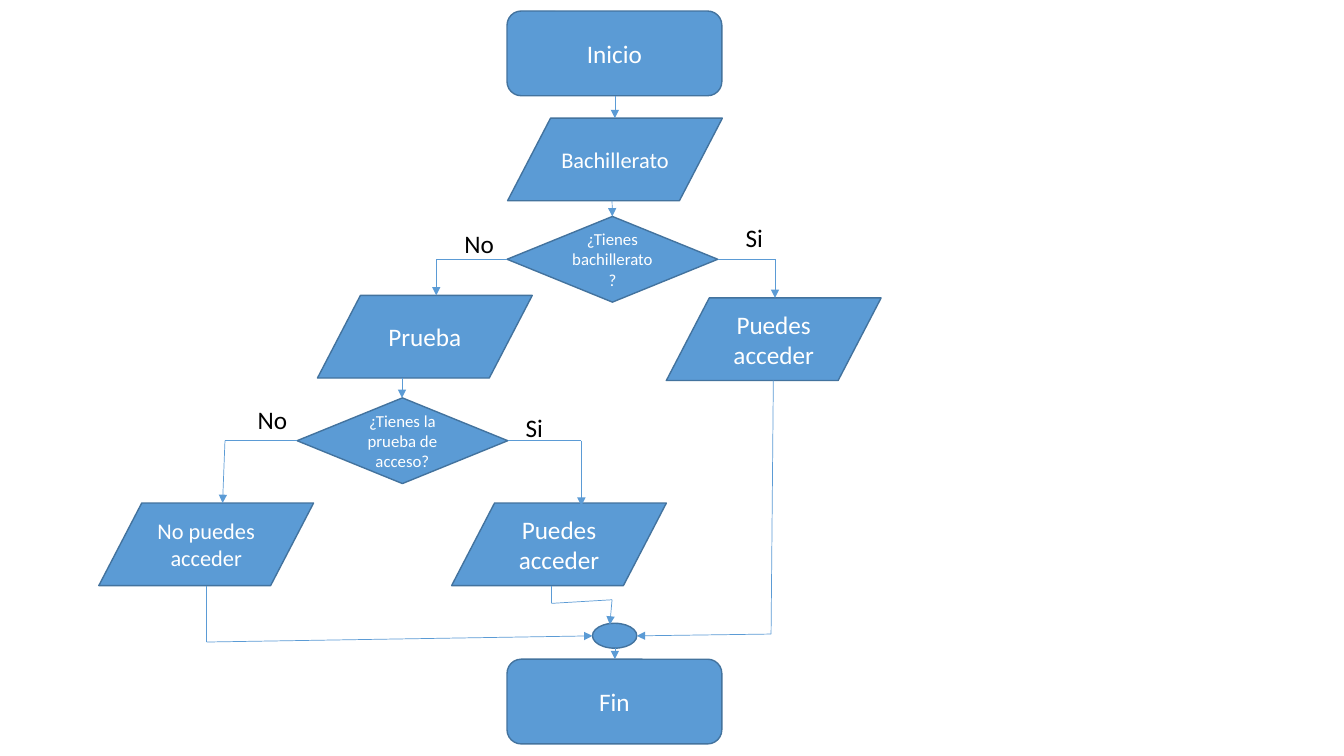
from dataclasses import dataclass
from itertools import pairwise
from lxml.etree import SubElement
from pptx import Presentation
from pptx.dml.color import RGBColor as RGB
from pptx.enum.shapes import MSO_CONNECTOR as LINE, MSO_SHAPE as SHAPE
from pptx.enum.text import MSO_ANCHOR as ANCHOR, MSO_AUTO_SIZE as AUTO, PP_ALIGN as ALIGN
from pptx.oxml.ns import qn
from pptx.util import Pt


@dataclass(frozen=True)
class Theme:
    font: str = "Calibri"
    fill: RGB = RGB(0x5B, 0x9B, 0xD5)
    border: RGB = RGB(0x43, 0x73, 0x9E)
    light: RGB = RGB(255, 255, 255)
    dark: RGB = RGB(0, 0, 0)
    large: int = 18
    medium: int = 16
    small: int = 12
    border_width: float = 1
    arrow_width: float = 0.5


theme = Theme()

KINDS = {
    "terminal": (SHAPE.FLOWCHART_ALTERNATE_PROCESS, 153.4, 60.5),
    "data": (SHAPE.FLOWCHART_DATA, 153.4, 59),
    "decision": (SHAPE.FLOWCHART_DECISION, 150.5, 61.2),
    "junction": (SHAPE.FLOWCHART_CONNECTOR, 31.7, 17.8),
}
NODES = [
    ("terminal", "Inicio", theme.large, 362.2, 7.9),
    ("terminal", "Fin", theme.large, 362.2, 470.9),
    ("data", "Bachillerato", theme.medium, 362.6, 84.4),
    ("decision", "¿Tienes bachillerato?", theme.small, 362.2, 154.6),
    ("decision", "¿Tienes la prueba de acceso?", theme.small, 212.2, 284.2),
    ("data", "Prueba", theme.large, 226.8, 211),
    ("data", "Puedes acceder", theme.large, 476, 212.8),
    ("data", "No puedes acceder", theme.medium, 70.6, 359.3),
    ("data", "Puedes acceder", theme.large, 322.6, 359.3),
    ("junction", "", theme.large, 423.2, 445.2),
]
ROUTES = [
    [(439.2, 68.4), (439.2, 84.4)],
    [(437.2, 143.4), (437.4, 154.6)],
    [(362.2, 185.2), (311.6, 185.2), (311.6, 211)],
    [(512.7, 185.2), (553.6, 185.2), (553.6, 212.8)],
    [(287.2, 270), (287.2, 284.2)],
    [(212.2, 314.8), (160.7, 314.8), (159, 359.3)],
    [(362.7, 314.8), (415.3, 314.8), (415.3, 361.3)],
    [(147.6, 418.3), (147.6, 458.6), (423.2, 454.2)],
    [(393.9, 418.3), (393.9, 431), (437.2, 428.4), (435.6, 446.2)],
    [(552.4, 271.8), (550.8, 452.9), (454.9, 454.2)],
    [(439.2, 463), (439.2, 470.9)],
]
LABELS = [
    ("Si", 525.5, 155.2, 27.4),
    ("Si", 368.4, 290.9, 27.4),
    ("No", 324.7, 159.8, 36),
    ("No", 177, 285.4, 36),
]
LABEL_HEIGHT = 28.8


def write(sp, text, size, color, align):
    p = sp.text_frame.paragraphs[0]
    p.text, p.alignment = text, align
    p.font.name, p.font.size = theme.font, Pt(size)
    p.font.color.rgb = color


def add_node(shapes, kind, text, size, x, y):
    preset, w, h = KINDS[kind]
    sp = shapes.add_shape(preset, Pt(x), Pt(y), Pt(w), Pt(h))
    sp.shadow.inherit = False
    sp.fill.solid()
    sp.fill.fore_color.rgb = theme.fill
    sp.line.color.rgb = theme.border
    sp.line.width = Pt(theme.border_width)
    if text:
        sp.text_frame.word_wrap = True
        sp.text_frame.vertical_anchor = ANCHOR.MIDDLE
        write(sp, text, size, theme.light, ALIGN.CENTER)


def add_route(shapes, points):
    for start, end in pairwise(points):
        line = shapes.add_connector(LINE.STRAIGHT, *map(Pt, start + end))
        line.line.color.rgb = theme.fill
        line.line.width = Pt(theme.arrow_width)
        props = line._element.spPr
        SubElement(props, qn("a:effectLst"))
    SubElement(props.find(qn("a:ln")), qn("a:tailEnd"), type="triangle")


def add_label(shapes, text, x, y, w):
    sp = shapes.add_textbox(Pt(x), Pt(y), Pt(w), Pt(LABEL_HEIGHT))
    sp.text_frame.word_wrap = False
    sp.text_frame.auto_size = AUTO.SHAPE_TO_FIT_TEXT
    write(sp, text, theme.large, theme.dark, ALIGN.LEFT)


prs = Presentation()
prs.slide_width, prs.slide_height = Pt(960), Pt(540)
shapes = prs.slides.add_slide(prs.slide_layouts[6]).shapes
for node in NODES:
    add_node(shapes, *node)
for route in ROUTES:
    add_route(shapes, route)
for label in LABELS:
    add_label(shapes, *label)
prs.save("out.pptx")
